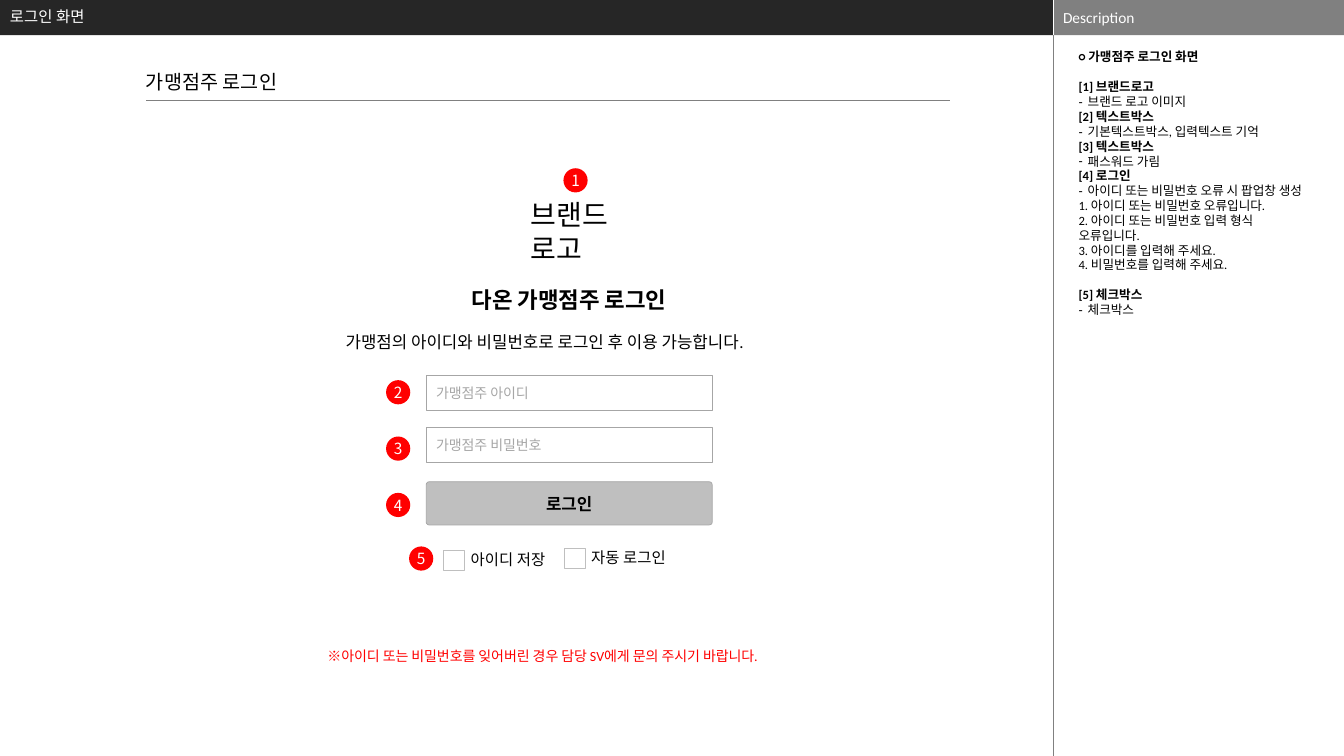
from dataclasses import dataclass

from lxml import etree
from pptx import Presentation
from pptx.dml.color import RGBColor
from pptx.enum.shapes import MSO_CONNECTOR, MSO_SHAPE
from pptx.enum.text import MSO_ANCHOR, MSO_AUTO_SIZE, PP_ALIGN
from pptx.oxml.ns import qn
from pptx.util import Cm, Pt

RECTANGLE = MSO_SHAPE.RECTANGLE
ROUNDED = MSO_SHAPE.ROUNDED_RECTANGLE
OVAL = MSO_SHAPE.OVAL
STRAIGHT = MSO_CONNECTOR.STRAIGHT
TOP, MIDDLE = MSO_ANCHOR.TOP, MSO_ANCHOR.MIDDLE
LEFT, CENTER = PP_ALIGN.LEFT, PP_ALIGN.CENTER
FIXED_SIZE = MSO_AUTO_SIZE.NONE


@dataclass(frozen=True)
class Theme:
    font: str = "Calibri"
    badge_font: str = "Noto Sans CJK KR"
    black: str = "000000"
    white: str = "FFFFFF"
    bar: str = "262626"
    gray: str = "808080"
    border: str = "A6A6A6"
    button: str = "BFBFBF"
    red: str = "FF0000"
    note: float = 9
    small: float = 10
    label: float = 11
    text: float = 12
    heading: float = 14
    title: float = 16
    logo: float = 20


THEME = Theme()
DEFAULT_INSETS = (0.25, 0.13)
NO_INSETS = (0, 0)


def format_paragraph(paragraph, text, size=THEME.label, color=THEME.black, bold=False,
                     font=THEME.font, align=LEFT, before=0, spacing=1.0, bullet=None):
    paragraph.alignment = align
    paragraph.space_before = Pt(before)
    paragraph.line_spacing = spacing
    properties = paragraph._p.get_or_add_pPr()
    hanging = Cm(0.23) if bullet else 0
    properties.set("marL", str(hanging))
    properties.set("indent", str(-hanging))
    if bullet:
        etree.SubElement(properties, qn("a:buChar")).set("char", bullet)
    else:
        etree.SubElement(properties, qn("a:buNone"))
    run = paragraph.add_run()
    run.text = text
    run.font.size = Pt(size)
    run.font.bold = bold
    run.font.color.rgb = RGBColor.from_string(color)
    run.font.name = font
    etree.SubElement(run.font._element, qn("a:ea")).set("typeface", font)


class Screen:
    def __init__(self, slide, theme):
        self.slide = slide
        self.theme = theme

    def frame(self, shape, anchor=TOP, insets=DEFAULT_INSETS, wrap=True):
        frame = shape.text_frame
        frame.auto_size = FIXED_SIZE
        frame.word_wrap = wrap
        frame.vertical_anchor = anchor
        frame.margin_left = frame.margin_right = Cm(insets[0])
        frame.margin_top = frame.margin_bottom = Cm(insets[1])
        return frame

    def placeholder(self, shape, left, top, width, height, lines,
                    anchor=TOP, insets=DEFAULT_INSETS):
        shape.left, shape.top = Cm(left), Cm(top)
        shape.width, shape.height = Cm(width), Cm(height)
        self.slide.shapes._spTree.append(shape._element)
        frame = self.frame(shape, anchor, insets)
        for index, (text, style) in enumerate(lines):
            paragraph = frame.add_paragraph() if index else frame.paragraphs[0]
            format_paragraph(paragraph, text, **style)

    def text(self, left, top, width, height, text, anchor=TOP,
             insets=DEFAULT_INSETS, **style):
        shape = self.slide.shapes.add_textbox(Cm(left), Cm(top), Cm(width), Cm(height))
        frame = self.frame(shape, anchor, insets)
        format_paragraph(frame.paragraphs[0], text, **style)

    def box(self, left, top, width, height, kind=RECTANGLE, fill=None, line=None,
            weight=0.5, text=None, insets=DEFAULT_INSETS, wrap=True, **style):
        shape = self.slide.shapes.add_shape(kind, Cm(left), Cm(top), Cm(width), Cm(height))
        shape.shadow.inherit = False
        if fill:
            shape.fill.solid()
            shape.fill.fore_color.rgb = RGBColor.from_string(fill)
        else:
            shape.fill.background()
        if line:
            shape.line.color.rgb = RGBColor.from_string(line)
            shape.line.width = Pt(weight)
        else:
            shape.line.fill.background()
        if text:
            frame = self.frame(shape, MIDDLE, insets, wrap)
            format_paragraph(frame.paragraphs[0], text, **style)
        return shape

    def line(self, left, top, right, bottom, color, weight):
        connector = self.slide.shapes.add_connector(
            STRAIGHT, Cm(left), Cm(top), Cm(right), Cm(bottom))
        connector.line.color.rgb = RGBColor.from_string(color)
        connector.line.width = Pt(weight)
        etree.SubElement(connector._element.spPr, qn("a:effectLst"))

    def badge(self, number, left, top):
        self.box(left, top, 0.61, 0.61, OVAL, self.theme.red, text=str(number),
                 insets=NO_INSETS, wrap=False, align=CENTER,
                 color=self.theme.white, font=self.theme.badge_font)

    def checkbox(self, left, top, text):
        self.box(left, top, 0.53, 0.5, line=self.theme.button, weight=0.75)
        self.text(left + 0.43, top - 0.13, 2.64, 0.74, text)


WIDTH, HEIGHT = 33.87, 19.05
BAR_HEIGHT = 0.89
PANEL_LEFT = 26.54
PANEL_WIDTH = WIDTH - PANEL_LEFT
FORM_LEFT, FORM_WIDTH = 10.74, 7.21

presentation = Presentation()
presentation.slide_width, presentation.slide_height = Cm(WIDTH), Cm(HEIGHT)
slide = presentation.slides.add_slide(presentation.slide_layouts[1])
title, description = slide.placeholders
screen = Screen(slide, THEME)

screen.box(0, 0, PANEL_LEFT, BAR_HEIGHT, fill=THEME.bar)
screen.box(PANEL_LEFT, 0, PANEL_WIDTH, BAR_HEIGHT, fill=THEME.gray)
screen.line(PANEL_LEFT, 0, PANEL_LEFT, BAR_HEIGHT, THEME.white, 0.25)
screen.line(PANEL_LEFT, BAR_HEIGHT, PANEL_LEFT, HEIGHT, THEME.gray, 0.25)
screen.placeholder(title, 0, 0, 25.8, BAR_HEIGHT,
                   [("로그인 화면", {"color": THEME.white, "spacing": 0.9})], MIDDLE)
screen.text(PANEL_LEFT, 0, PANEL_WIDTH, BAR_HEIGHT, "Description", MIDDLE,
            color=THEME.white)

NOTE = {"size": THEME.note, "spacing": 0.98}
HEAD = {**NOTE, "bold": True}
SPACED_HEAD = {**HEAD, "before": 10.8}
DASH = {**NOTE, "bullet": "-"}
screen.placeholder(description, 27.08, 1.26, 6.05, 17.79, [
    ("○ 가맹점주 로그인 화면", HEAD),
    ("[1] 브랜드로고", SPACED_HEAD),
    ("브랜드 로고 이미지", DASH),
    ("[2] 텍스트박스", HEAD),
    ("기본텍스트박스, 입력텍스트 기억", DASH),
    ("[3] 텍스트박스", HEAD),
    ("패스워드 가림", DASH),
    ("[4] 로그인", HEAD),
    ("아이디 또는 비밀번호 오류 시 팝업창 생성", DASH),
    ("1. 아이디 또는 비밀번호 오류입니다.", NOTE),
    ("2. 아이디 또는 비밀번호 입력 형식 오류입니다.", NOTE),
    ("3. 아이디를 입력해 주세요.", NOTE),
    ("4. 비밀번호를 입력해 주세요.", NOTE),
    ("[5] 체크박스", SPACED_HEAD),
    ("체크박스", DASH),
], insets=(0.1, 0))

screen.text(3.68, 1.75, 18, 0.61, "가맹점주 로그인", insets=NO_INSETS, size=THEME.heading)
screen.line(3.68, 2.54, 23.93, 2.54, THEME.gray, 0.5)
screen.text(13.13, 4.85, 2.67, 1.96, "브랜드로고", size=THEME.logo)
screen.text(8.46, 7.09, 11.76, 0.94, "다온 가맹점주 로그인",
            size=THEME.title, bold=True, align=CENTER)
screen.text(8.46, 8.23, 11.84, 1.55,
            "가맹점의 아이디와 비밀번호로 로그인 후 이용 가능합니다.", size=THEME.text)

for top, hint in ((9.45, "가맹점주 아이디"), (10.77, "가맹점주 비밀번호")):
    screen.box(FORM_LEFT, top, FORM_WIDTH, BAR_HEIGHT, fill=THEME.white,
               line=THEME.border, text=hint, size=THEME.small, color=THEME.border)
button = screen.box(FORM_LEFT, 12.14, FORM_WIDTH, 1.09, ROUNDED, THEME.button,
                    THEME.border, text="로그인", size=THEME.text, bold=True, align=CENTER)
button.adjustments[0] = 0.07

screen.checkbox(11.18, 13.87, "아이디 저장")
screen.checkbox(14.22, 13.82, "자동 로그인")
screen.text(8, 16.18, 12.6, 0.69,
            "※아이디 또는 비밀번호를 잊어버린 경우 담당 SV에게 문의 주시기 바랍니다.",
            size=THEME.small, color=THEME.red)

BADGES = ((14.2, 4.24), (9.73, 9.58), (9.73, 11), (9.73, 12.42), (10.31, 13.77))
for number, (left, top) in enumerate(BADGES, start=1):
    screen.badge(number, left, top)

presentation.save("out.pptx")
